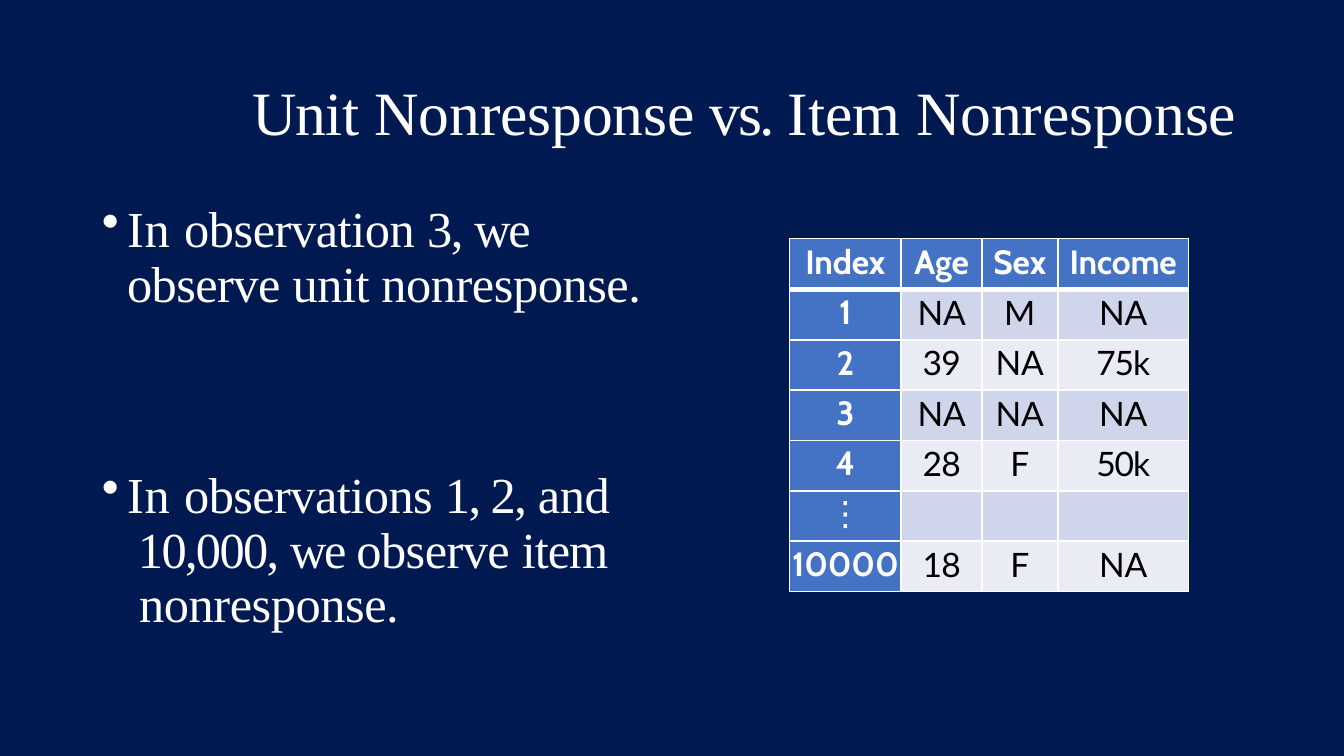
from dataclasses import dataclass

from lxml.etree import SubElement as Sub
from pptx import Presentation
from pptx.dml.color import RGBColor as RGB
from pptx.enum.text import MSO_ANCHOR as Anchor, PP_ALIGN as Align
from pptx.oxml.ns import qn
from pptx.util import Pt

SCALE = 9144  # EMU in one px, 100 px to the inch


@dataclass(frozen=True)
class Theme:
    back: str = "001950"
    light: str = "FFFFFF"
    dark: str = "000000"
    head: str = "4472C4"
    bands: tuple = ("E9EBF5", "CFD5EA")
    serif: str = "Times New Roman"
    bold: str = "Cabin"
    plain: str = "Lato"
    sign: str = "DejaVu Sans"
    title: int = 44
    body: int = 36
    cell: int = 24
    thin: float = 0.75
    rule: float = 1.5
    thick: float = 4.25


THEME = Theme()

# Each run is its text and its letter spacing in points; "\n" breaks the line
TITLE = [("Unit ", -0.5), ("Nonresponse ", -0.1), ("vs. ", -1.9),
         ("Item ", 0), ("Nonresponse", -0.1)]
UNIT = [("In ", 0.6), ("observation ", -0.3), ("3, ", -1.1), ("we ", -1.8),
        ("observe ", -0.4), ("unit nonresponse.", -0.3)]
ITEM = [("In ", 0.6), ("observations ", -0.4), ("1, 2, ", -1.1), ("and", -0.3),
        ("\n", 0), (" 10,000, ", -1.2), ("we ", -1.8), ("observe ", -0.4),
        ("item", -0.7), ("\n", 0), (" nonresponse.", -0.3)]

DATA = [
    ["Index", "Age", "Sex", "Income"],
    ["1", "NA", "M", "NA"],
    ["2", "39", "NA", "75k"],
    ["3", "NA", "NA", "NA"],
    ["4", "28", "F", "50k"],
    ["⋮", "", "", ""],
    ["10000", "18", "F", "NA"],
]
WIDTHS = [111, 80, 75, 130]
ROW = 50
TIGHT = {"39": -0.5, "28": -0.5, "18": -0.5, "75k": -0.8, "50k": -0.8,
         "NA": -0.1, "10000": -0.1} | {name: -0.1 for name in DATA[0]}


def px(*nums):
    return [round(num * SCALE) for num in nums]


def put(obj, form):
    for name, value in form.items():
        setattr(obj, name, value)


def write(para, runs, color, **form):
    for text, gap in runs:
        if text == "\n":
            para.add_line_break()
            continue
        run = para.add_run()
        run.text = text
        put(run.font, form)
        run.font.color.rgb = RGB.from_string(color)
        run._r.get_or_add_rPr().set("spc", str(round(gap * 100)))


def frame(slide, place, top):
    box = slide.shapes.add_textbox(*px(*place)).text_frame
    put(box, dict(word_wrap=True, margin_left=0, margin_right=0,
                  margin_bottom=0, margin_top=px(top)[0]))
    return box


def bullet(para, runs, before):
    put(para, dict(line_spacing=Pt(38.9), space_before=Pt(before)))
    props = para._p.get_or_add_pPr()
    left, hang = px(26, -25)
    for name, value in dict(marL=left, indent=hang).items():
        props.set(name, str(value))
    Sub(props, qn("a:buChar"), char="•")
    write(para, runs, THEME.light, name=THEME.serif, size=Pt(THEME.body))


def edge(cell, row, col):
    last, end = len(DATA) - 1, len(WIDTHS) - 1
    sides = {
        "L": THEME.thin if col == 0 else THEME.rule,
        "R": THEME.thin if col == end else THEME.rule,
        "T": {0: THEME.thin, 1: THEME.thick}.get(row, THEME.rule),
        "B": {0: THEME.thick, last: THEME.thin}.get(row, THEME.rule),
    }
    props = cell._tc.get_or_add_tcPr()
    for side, width in sides.items():
        line = Sub(props, qn(f"a:ln{side}"), w=str(int(Pt(width))))
        Sub(Sub(line, qn("a:solidFill")), qn("a:srgbClr"), val=THEME.light)


def fill(cell, text, row, col):
    head = row == 0 or col == 0
    put(cell, dict(margin_left=0, margin_right=0, margin_bottom=0,
                   margin_top=px(3)[0], vertical_anchor=Anchor.TOP))
    edge(cell, row, col)
    cell.fill.solid()
    color = THEME.head if head else THEME.bands[row % 2]
    cell.fill.fore_color.rgb = RGB.from_string(color)
    if not text:
        return
    para = cell.text_frame.paragraphs[0]
    put(para, dict(alignment=Align.CENTER, space_before=Pt(2)))
    sign = text == "⋮"
    font = THEME.sign if sign else THEME.bold if head else THEME.plain
    write(para, [(text, TIGHT.get(text, 0))],
          THEME.light if head else THEME.dark,
          name=font, size=Pt(THEME.cell), bold=head and not sign)


def grid(slide, left, top):
    size = px(left, top, sum(WIDTHS), ROW * len(DATA))
    table = slide.shapes.add_table(len(DATA), len(WIDTHS), *size).table
    for col, width in zip(table.columns, px(*WIDTHS)):
        col.width = width
    for row, line in enumerate(DATA):
        table.rows[row].height = px(ROW)[0]
        for col, text in enumerate(line):
            fill(table.cell(row, col), text, row, col)


def main():
    deck = Presentation()
    deck.slide_width, deck.slide_height = px(1333, 750)
    slide = deck.slides.add_slide(deck.slide_layouts[6])
    slide.background.fill.solid()
    slide.background.fill.fore_color.rgb = RGB.from_string(THEME.back)

    # Title
    title = frame(slide, (250, 66, 982, 76), 7)
    write(title.paragraphs[0], TITLE, THEME.light,
          name=THEME.serif, size=Pt(THEME.title))

    # Bullets, set apart by the space before the second
    notes = frame(slide, (100, 194, 539, 428), 8)
    bullet(notes.paragraphs[0], UNIT, 0)
    bullet(notes.add_paragraph(), ITEM, 112)

    # Survey table
    grid(slide, 783, 237)
    deck.save("out.pptx")


if __name__ == "__main__":
    main()
